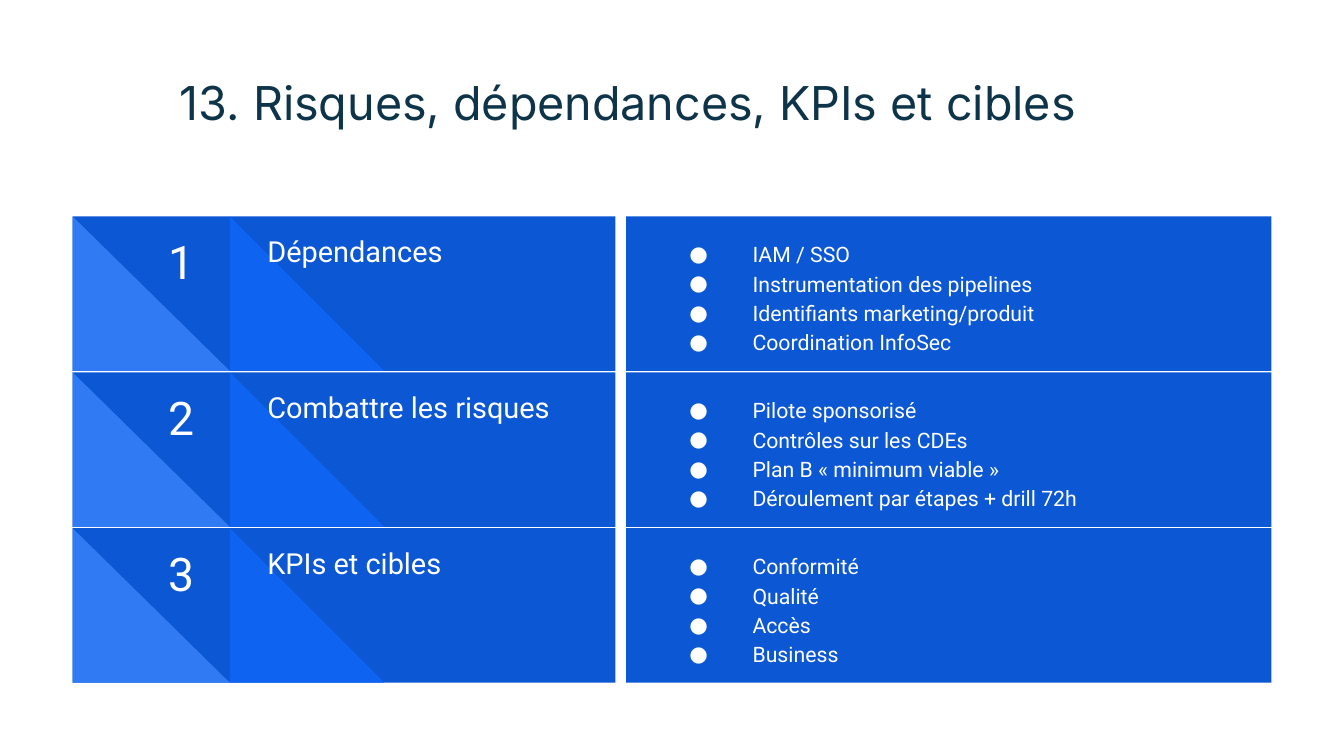
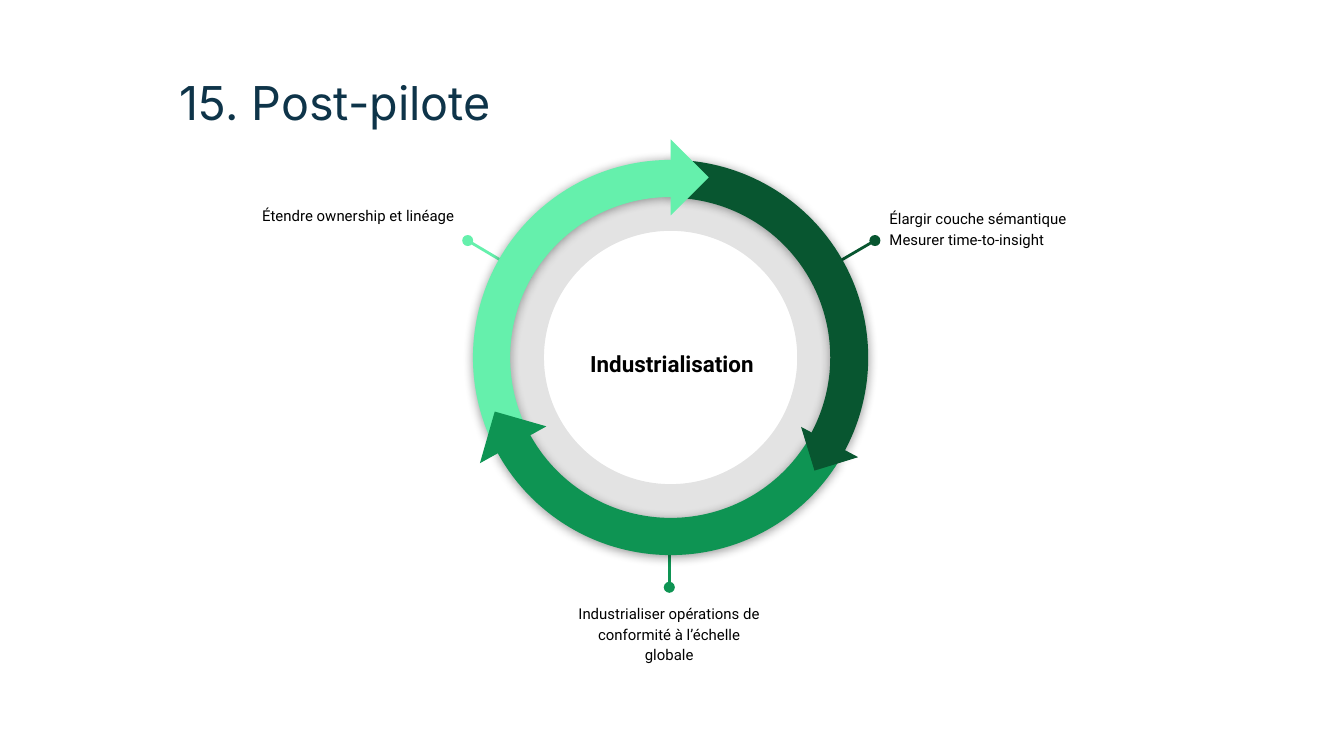
from math import cos, radians, sin

from lxml.etree import SubElement
from pptx import Presentation
from pptx.dml.color import RGBColor
from pptx.enum.shapes import MSO_CONNECTOR, MSO_SHAPE
from pptx.enum.text import MSO_ANCHOR, PP_ALIGN
from pptx.oxml.ns import qn
from pptx.util import Inches, Pt

WHITE = RGBColor(0xFF, 0xFF, 0xFF)
BLACK = RGBColor(0x00, 0x00, 0x00)
NAVY = RGBColor(0x0E, 0x34, 0x49)
BLUE = RGBColor(0x0C, 0x57, 0xD3)
BRIGHT_BLUE = RGBColor(0x0E, 0x63, 0xF0)
LIGHT_BLUE = RGBColor(0x30, 0x7A, 0xF3)
DARK_GREEN = RGBColor(0x08, 0x56, 0x30)
GREEN = RGBColor(0x0E, 0x94, 0x53)
MINT = RGBColor(0x65, 0xF0, 0xAC)

TITLE_FONT, BODY_FONT = "Inter", "Roboto"

TOPICS = [
    ("Dépendances", ["IAM / SSO", "Instrumentation des pipelines",
                     "Identifiants marketing/produit", "Coordination InfoSec"]),
    ("Combattre les risques", ["Pilote sponsorisé", "Contrôles sur les CDEs",
                               "Plan B « minimum viable »",
                               "Déroulement par étapes + drill 72h"]),
    ("KPIs et cibles", ["Conformité", "Qualité", "Accès", "Business"]),
]

# Colour, rotation, mirrored, start and end angle, thickness
ARCS = [
    (DARK_GREEN, 30, False, 240.24, 0.01, 0.096),
    (MINT, 330, True, 239.14, 357.88, 0.094),
    (GREEN, 210, True, 238.6, 358.38, 0.094),
]

# Colour, angle on the ring, rotation, size
ARROWHEADS = [
    (MINT, -90, 225, 0.4),
    (DARK_GREEN, 28, 342.9, 0.34),
    (GREEN, 151, 106, 0.4),
]

# Colour, dot, ring end and text corner (from the ring centre), alignment, lines
CALLOUTS = [
    (MINT, (-1.51, -0.87), (-1.04, -0.59), (-3.15, -1.22), PP_ALIGN.RIGHT,
     ["Étendre ownership et linéage"]),
    (DARK_GREEN, (1.52, -0.87), (1.04, -0.59), (1.53, -1.22), PP_ALIGN.LEFT,
     ["Élargir couche sémantique", "Mesurer time‑to‑insight"]),
    (GREEN, (-0.01, 1.71), (-0.01, 1.21), (-0.83, 1.72), PP_ALIGN.CENTER,
     ["Industrialiser opérations de conformité à l’échelle globale"]),
]


def inches(*lengths):
    return [Inches(length) for length in lengths]


def add_bullet(paragraph):
    properties = paragraph._p.get_or_add_pPr()
    properties.set("marL", str(Inches(0.78)))
    properties.set("indent", str(Inches(-0.47)))
    bullet_color = SubElement(properties, qn("a:buClr"))
    SubElement(bullet_color, qn("a:srgbClr"), val=str(WHITE))
    SubElement(properties, qn("a:buFont"), typeface=BODY_FONT)
    SubElement(properties, qn("a:buChar"), char="●")


def write(holder, lines, size, color, font=BODY_FONT, inset=0.1, bold=False,
          align=PP_ALIGN.LEFT, anchor=MSO_ANCHOR.TOP, spacing=None, bullets=False):
    frame = holder.text_frame
    frame.word_wrap = True
    frame.vertical_anchor = anchor
    frame.margin_left = frame.margin_right = Inches(inset)
    frame.margin_top = frame.margin_bottom = Inches(inset)
    frame.text = "\n".join(lines)
    for paragraph in frame.paragraphs:
        paragraph.alignment = align
        if spacing:
            paragraph.line_spacing = spacing
        if bullets:
            add_bullet(paragraph)
        paragraph.font.name = font
        paragraph.font.size = Pt(size)
        paragraph.font.bold = bold
        paragraph.font.color.rgb = color


def add_text(shapes, box, lines, size, color, **style):
    write(shapes.add_textbox(*inches(*box)), lines, size, color, **style)


def add_filled(shapes, preset, box, color, rotation=0):
    shape = shapes.add_shape(preset, *inches(*box))
    shape.shadow.inherit = False
    shape.fill.solid()
    shape.fill.fore_color.rgb = color
    shape.line.fill.background()
    shape.rotation = rotation
    return shape


def centred(x, y, size):
    return x - size / 2, y - size / 2, size, size


def set_alpha(color_element, percent):
    SubElement(color_element, qn("a:alpha"), val=str(percent * 1000))


def add_soft_shadow(shape):
    effects = shape._element.spPr.find(qn("a:effectLst"))
    shadow = SubElement(effects, qn("a:outerShdw"), blurRad=str(Pt(5.6)),
                        dist=str(Pt(0.8)), dir=str(90 * 60000),
                        algn="bl", rotWithShape="0")
    set_alpha(SubElement(shadow, qn("a:srgbClr"), val=str(BLACK)), 40)


def add_titled_slide(deck, title):
    slide = deck.slides.add_slide(deck.slide_layouts[6])
    add_text(slide.shapes, (1.24, 0.45, 7.84, 0.58), [title], 25, NAVY, font=TITLE_FONT)
    return slide


def add_topic_row(slide, left, top, height, number, heading, points):
    row = slide.shapes.add_group_shape().shapes
    # Detail panel
    details = add_filled(row, MSO_SHAPE.RECTANGLE, (left + 4.12, top, 4.8, height), BLUE)
    write(details, points, 11.4, WHITE, inset=0.16, spacing=1.15, bullets=True)
    # Heading panel with its two facets
    add_filled(row, MSO_SHAPE.RECTANGLE, (left, top, 4.04, height), BLUE)
    add_filled(row, MSO_SHAPE.RIGHT_TRIANGLE, (left + 1.17, top, 1.15, height), BRIGHT_BLUE)
    add_filled(row, MSO_SHAPE.RIGHT_TRIANGLE, (left, top, 1.17, height), LIGHT_BLUE)
    # Number and heading
    add_text(row, (left + 0.45, top, 0.72, 0.7), [str(number)], 24.8, WHITE, inset=0.16,
             align=PP_ALIGN.CENTER, anchor=MSO_ANCHOR.BOTTOM)
    add_text(row, (left + 1.29, top, 2.53, height), [heading], 15.5, WHITE, inset=0.16)


def add_callout(slide, x, y, color, dot, ring_end, corner, align, lines):
    callout = slide.shapes.add_group_shape().shapes
    stem = callout.add_connector(
        MSO_CONNECTOR.STRAIGHT,
        *inches(x + dot[0], y + dot[1], x + ring_end[0], y + ring_end[1]))
    stem.line.color.rgb = color
    stem.line.width = Pt(1.5)
    SubElement(stem.line._get_or_add_ln(), qn("a:headEnd"), type="oval")
    SubElement(stem._element.spPr, qn("a:effectLst"))
    add_text(callout, (x + corner[0], y + corner[1], 1.64, 0.73), lines, 8, BLACK,
             align=align, spacing=1.15)


def add_cycle(slide, left, top, size):
    x, y = left + size / 2, top + size / 2
    # Translucent inner ring
    inner_ring = add_filled(slide.shapes, MSO_SHAPE.DONUT, centred(x, y, 2.78), BLACK)
    inner_ring.adjustments[0] = 0.161
    set_alpha(inner_ring._element.spPr.find(qn("a:solidFill"))[0], 11)
    # Callouts and centre label
    for callout in CALLOUTS:
        add_callout(slide, x, y, *callout)
    add_text(slide.shapes, (x - 0.78, y - 0.41, 1.58, 0.88), ["Industrialisation"], 12,
             BLACK, bold=True, align=PP_ALIGN.CENTER, anchor=MSO_ANCHOR.MIDDLE, spacing=1.15)
    # Arcs: an angle adjustment counts 60000 units a degree, scaled by 100000
    for color, rotation, mirrored, start, end, thickness in ARCS:
        arc = add_filled(slide.shapes, MSO_SHAPE.BLOCK_ARC, (left, top, size, size),
                         color, rotation)
        for index, value in enumerate((start * 0.6, end * 0.6, thickness)):
            arc.adjustments[index] = value
        if mirrored:
            arc._element.spPr.xfrm.set("flipH", "1")
        add_soft_shadow(arc)
    # Arrowheads
    radius = 1.34
    for color, angle, rotation, head_size in ARROWHEADS:
        head_x = x + radius * cos(radians(angle))
        head_y = y + radius * sin(radians(angle))
        add_filled(slide.shapes, MSO_SHAPE.RIGHT_TRIANGLE,
                   centred(head_x, head_y, head_size), color, rotation)


def build_topics_slide(deck):
    slide = add_titled_slide(deck, "13. Risques, dépendances, KPIs et cibles")
    for index, (heading, points) in enumerate(TOPICS):
        add_topic_row(slide, 0.54, 1.61 + 1.16 * index, 1.15, index + 1, heading, points)


def build_cycle_slide(deck):
    slide = add_titled_slide(deck, "15. Post-pilote")
    add_cycle(slide, 3.52, 1.19, 2.94)


def main():
    deck = Presentation()
    # Widescreen, 16:9
    deck.slide_width = Inches(10)
    deck.slide_height = Inches(10 * 9 / 16)
    build_topics_slide(deck)
    build_cycle_slide(deck)
    deck.save("out.pptx")


if __name__ == "__main__":
    main()
